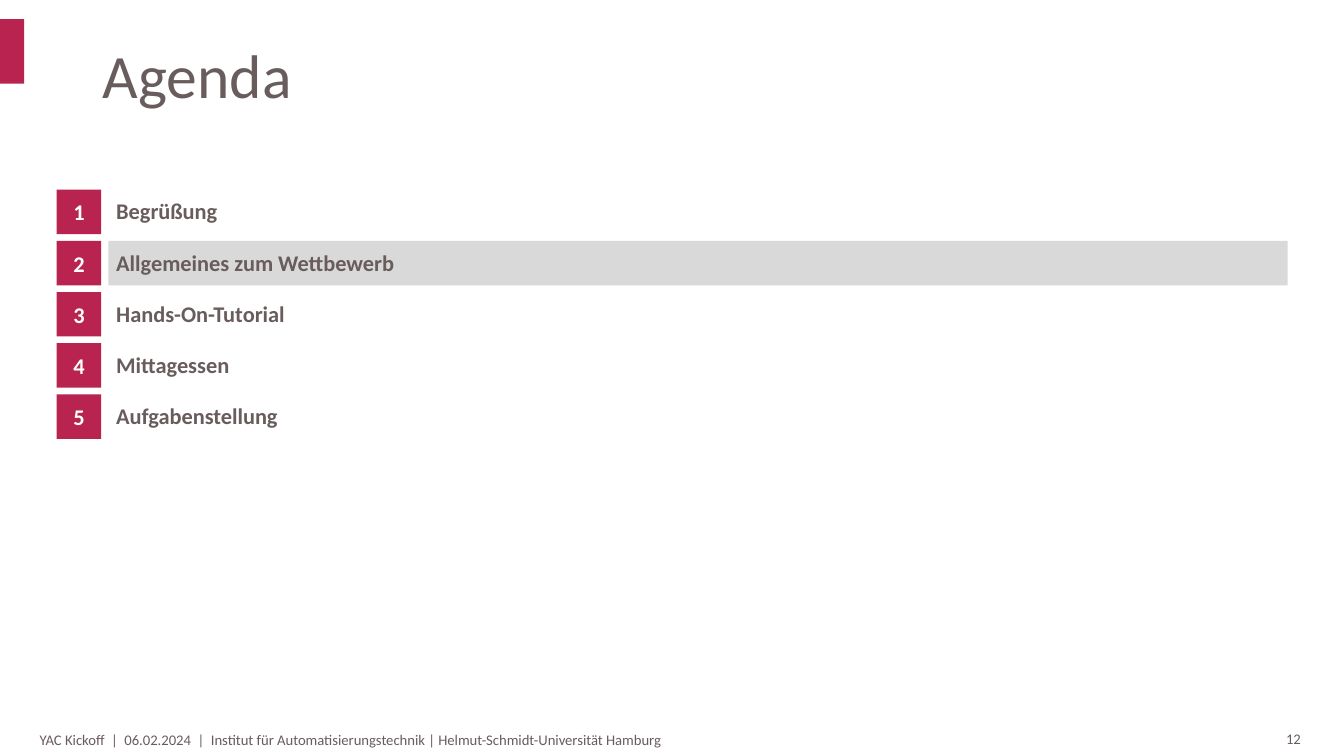
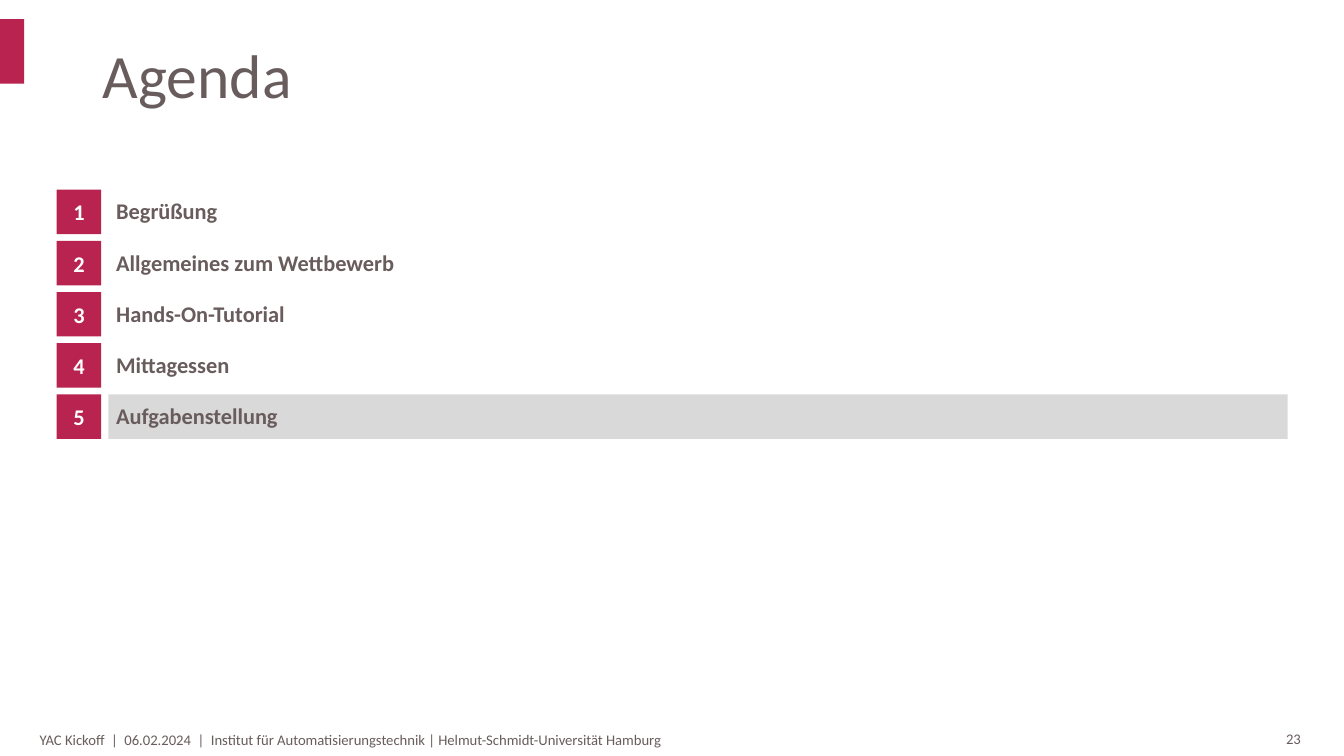
import pptx
import pptx.util
import pptx.dml.color
import pptx.enum.shapes
import pptx.enum.text

Cm = pptx.util.Cm
Pt = pptx.util.Pt
Align = pptx.enum.text.PP_ALIGN
Anchor = pptx.enum.text.MSO_ANCHOR

TITLE = "Agenda"
TOPICS = [
    "Begrüßung",
    "Allgemeines zum Wettbewerb",
    "Hands-On-Tutorial",
    "Mittagessen",
    "Aufgabenstellung",
]
FOOTER = ("YAC Kickoff  |  06.02.2024  |  Institut für Automatisierungstechnik"
          " | Helmut-Schmidt-Universität Hamburg")
PAGES = [{"number": 12, "current": 2}, {"number": 23, "current": 5}]

COLORS = {"accent": "B8234F", "text": "695C5D", "band": "D9D9D9", "white": "FFFFFF"}
FORMATS = {
    "title": {"size": Pt(44)},
    "topic": {"size": Pt(16), "bold": True},
    "footer": {"size": Pt(10.5)},
}

# Lengths in cm
WIDTH, HEIGHT = 33.87, 19.05
TOP, SIDE, STEP = 4.78, 1.12, 1.29
LEFT, GAP = 1.43, 0.18
INDENT = LEFT + SIDE + GAP
PAD = 0.2


def color(name):
    return pptx.dml.color.RGBColor.from_string(COLORS[name])


def write(shape, text, style, ink="text", align=Align.LEFT,
          anchor=Anchor.TOP, wrap=False, pads=None):
    """Fill a shape with one paragraph; pads are left, top, right, bottom in cm."""
    frame = shape.text_frame
    frame.word_wrap = wrap
    frame.vertical_anchor = anchor
    for side, pad in zip(("left", "top", "right", "bottom"), pads or ()):
        setattr(frame, "margin_" + side, Cm(pad))
    line = frame.paragraphs[0]
    line.alignment = align
    run = line.add_run()
    run.text = text
    run.font.name = "Calibri"
    run.font.color.rgb = color(ink)
    for key, value in FORMATS[style].items():
        setattr(run.font, key, value)
    return line


def add_box(slide, *place):
    return slide.shapes.add_textbox(*map(Cm, place))


def add_rect(slide, fill, *place):
    kind = pptx.enum.shapes.MSO_SHAPE.RECTANGLE
    rect = slide.shapes.add_shape(kind, *map(Cm, place))
    rect.shadow.inherit = False
    rect.fill.solid()
    rect.fill.fore_color.rgb = color(fill)
    rect.line.fill.background()
    return rect


def add_frame(slide, number):
    """Add what every slide shares: side mark, footer, number and title."""
    write(add_box(slide, 32.16, 18.26, 1.22, 0.71), str(number), "footer")
    write(add_box(slide, 0, 18.19, WIDTH, 0.89), FOOTER, "footer",
          anchor=Anchor.MIDDLE, wrap=True, pads=(1, 0.13, 0.25, 0.13))
    add_rect(slide, "accent", 0, 0.48, 0.61, 1.63)
    title = write(add_box(slide, 2.34, 1.02, 29.21, 3.68), TITLE, "title", wrap=True)
    title.line_spacing = 0.9


def add_agenda(slide, current):
    for index, topic in enumerate(TOPICS):
        top = TOP + index * STEP
        if index + 1 == current:
            add_rect(slide, "band", INDENT, top, 29.72, SIDE)
        write(add_box(slide, INDENT, top, 7.32, SIDE), topic, "topic",
              pads=(PAD, PAD, 0, PAD))
        write(add_rect(slide, "accent", LEFT, top, SIDE, SIDE), str(index + 1), "topic",
              ink="white", align=Align.CENTER, anchor=Anchor.MIDDLE, pads=(PAD,) * 4)


def main():
    deck = pptx.Presentation()
    deck.slide_width, deck.slide_height = Cm(WIDTH), Cm(HEIGHT)
    for page in PAGES:
        slide = deck.slides.add_slide(deck.slide_layouts[6])
        add_frame(slide, page["number"])
        add_agenda(slide, page["current"])
    deck.save("out.pptx")


if __name__ == "__main__":
    main()
